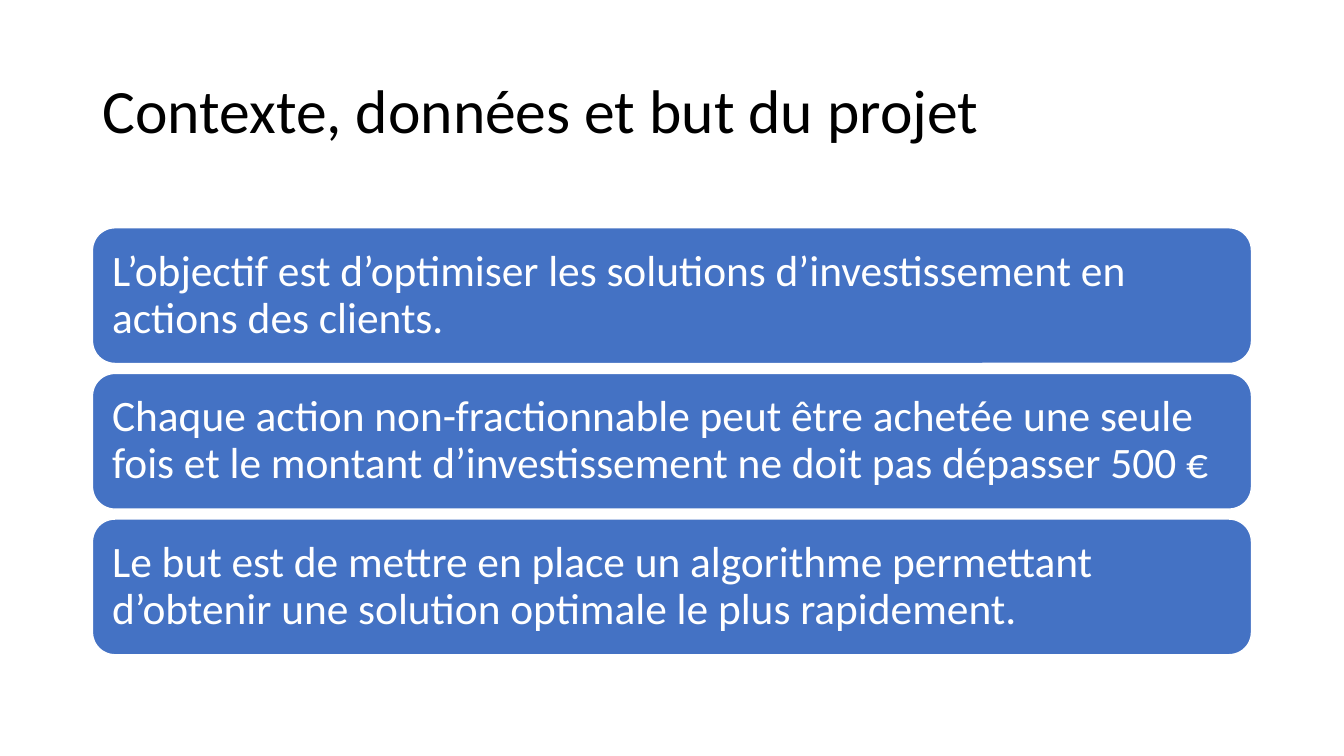
from pptx import Presentation
from pptx.dml.color import RGBColor
from pptx.enum.shapes import MSO_SHAPE
from pptx.enum.text import MSO_ANCHOR, MSO_AUTO_SIZE, PP_ALIGN
from pptx.util import Cm, Pt

LEFT, WIDTH = Cm(2.33), Cm(29.21)
CARD_TOP, CARD_HEIGHT, CARD_PITCH = Cm(5.74), Cm(3.42), Cm(3.67)

STATEMENTS = [
    "L’objectif est d’optimiser les solutions d’investissement en actions des clients.",
    "Chaque action non-fractionnable peut être achetée une seule fois "
    "et le montant d’investissement ne doit pas dépasser 500 €",
    "Le but est de mettre en place un algorithme permettant "
    "d’obtenir une solution optimale le plus rapidement.",
]


def color(value):
    return RGBColor.from_string(value)


def write_text(shape, text, size, font_color, side_inset, edge_inset):
    """Fill a shape with one left-aligned, vertically centred paragraph."""
    frame = shape.text_frame
    frame.word_wrap = True
    frame.auto_size = MSO_AUTO_SIZE.NONE
    frame.vertical_anchor = MSO_ANCHOR.MIDDLE
    frame.margin_left = frame.margin_right = side_inset
    frame.margin_top = frame.margin_bottom = edge_inset
    paragraph = frame.paragraphs[0]
    paragraph.alignment = PP_ALIGN.LEFT
    paragraph.line_spacing = 0.9
    run = paragraph.add_run()
    run.text = text
    run.font.name = "Calibri"
    run.font.size = Pt(size)
    run.font.color.rgb = color(font_color)


presentation = Presentation()
presentation.slide_width, presentation.slide_height = Cm(33.87), Cm(19.05)
slide = presentation.slides.add_slide(presentation.slide_layouts[5])

title = slide.shapes.title
title.left, title.top, title.width, title.height = LEFT, Cm(1.01), WIDTH, Cm(3.68)
write_text(title, "Contexte, données et but du projet", size=44, font_color="000000",
           side_inset=Cm(0.25), edge_inset=Cm(0.13))

for index, statement in enumerate(STATEMENTS):
    card = slide.shapes.add_shape(MSO_SHAPE.ROUNDED_RECTANGLE, LEFT,
                                  CARD_TOP + index * CARD_PITCH, WIDTH, CARD_HEIGHT)
    card.shadow.inherit = False
    card.fill.solid()
    card.fill.fore_color.rgb = color("4472C4")
    card.line.color.rgb = color("FFFFFF")
    card.line.width = Pt(1)
    write_text(card, statement, size=31, font_color="FFFFFF",
               side_inset=Cm(0.33), edge_inset=Cm(0.33))

presentation.save("out.pptx")
